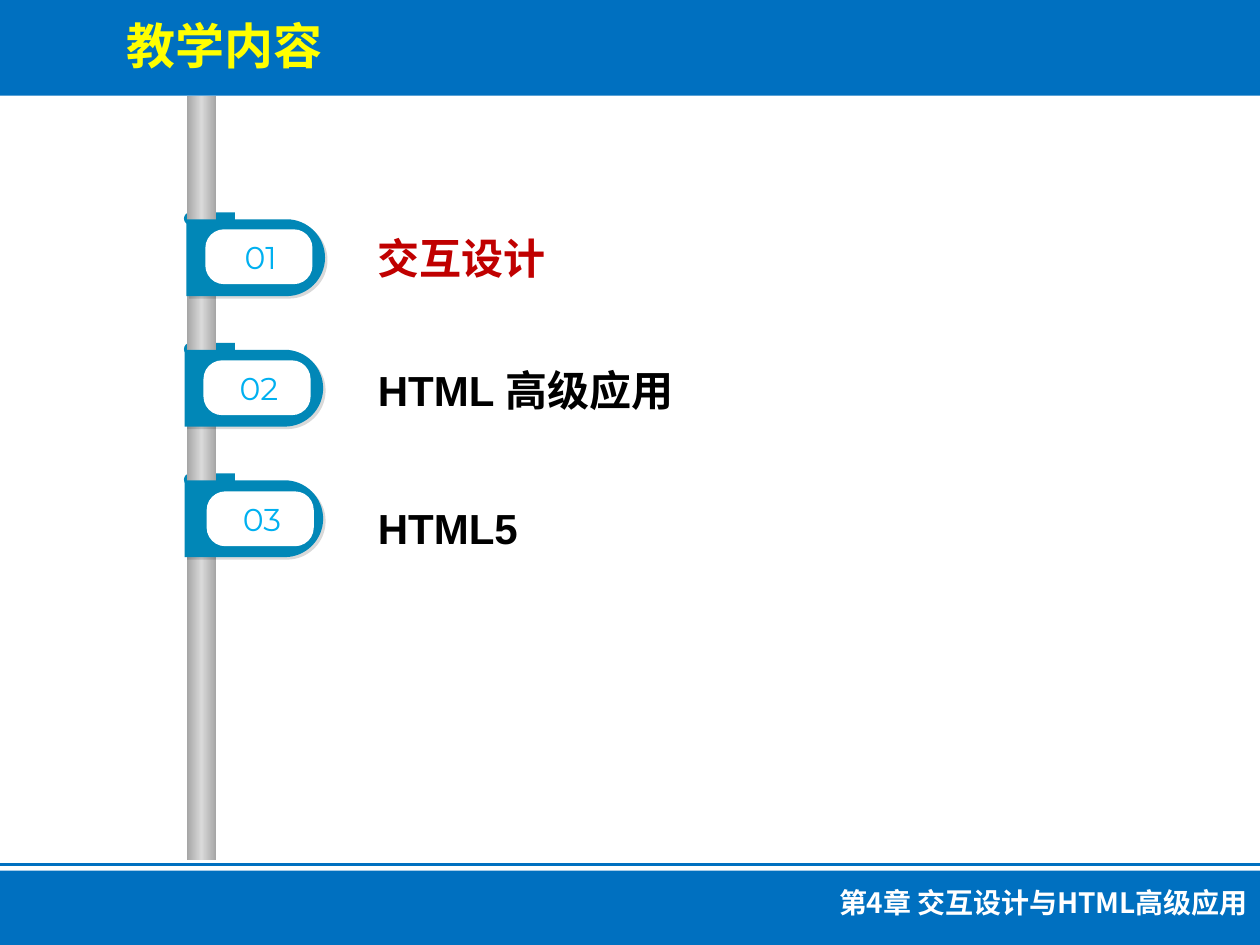
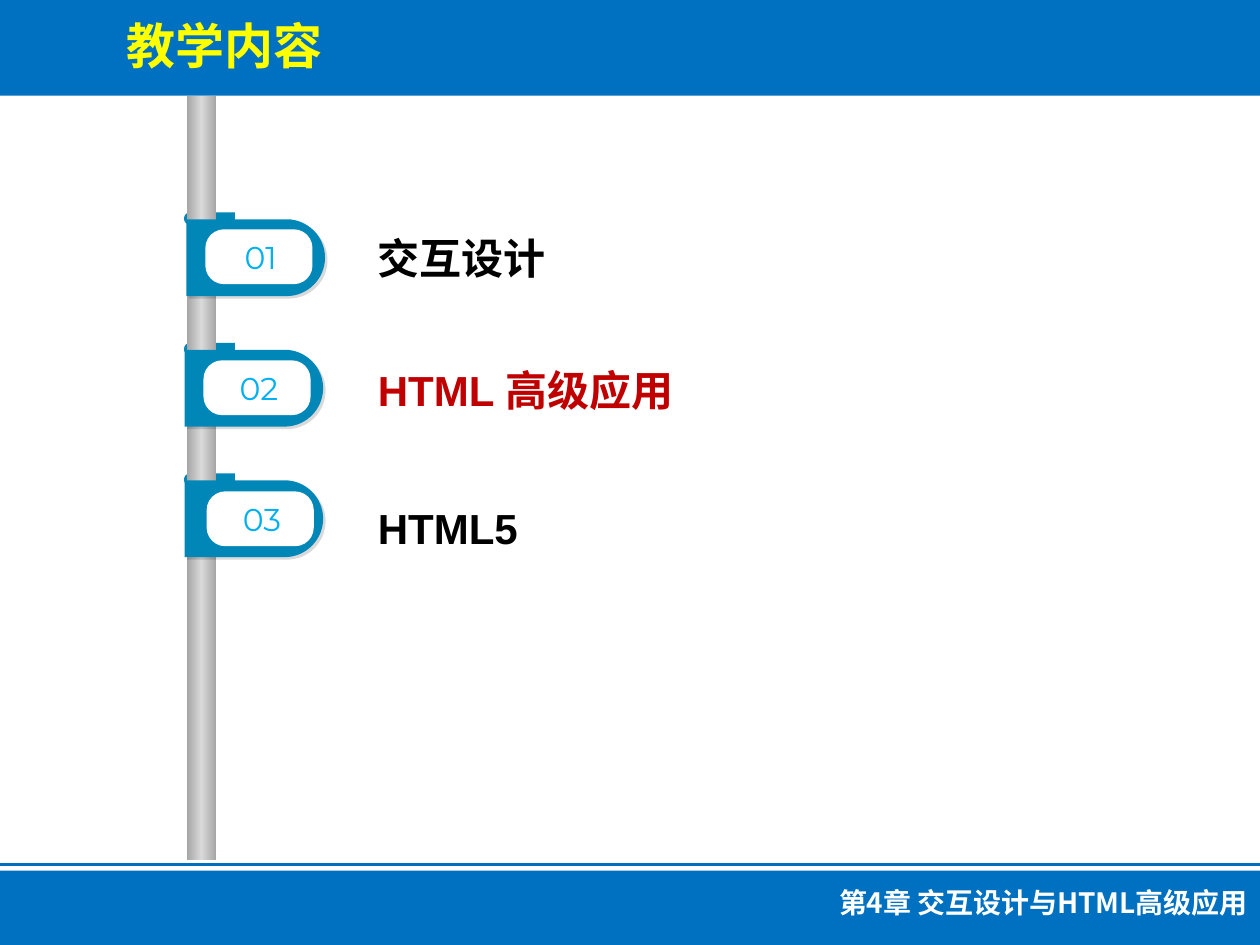
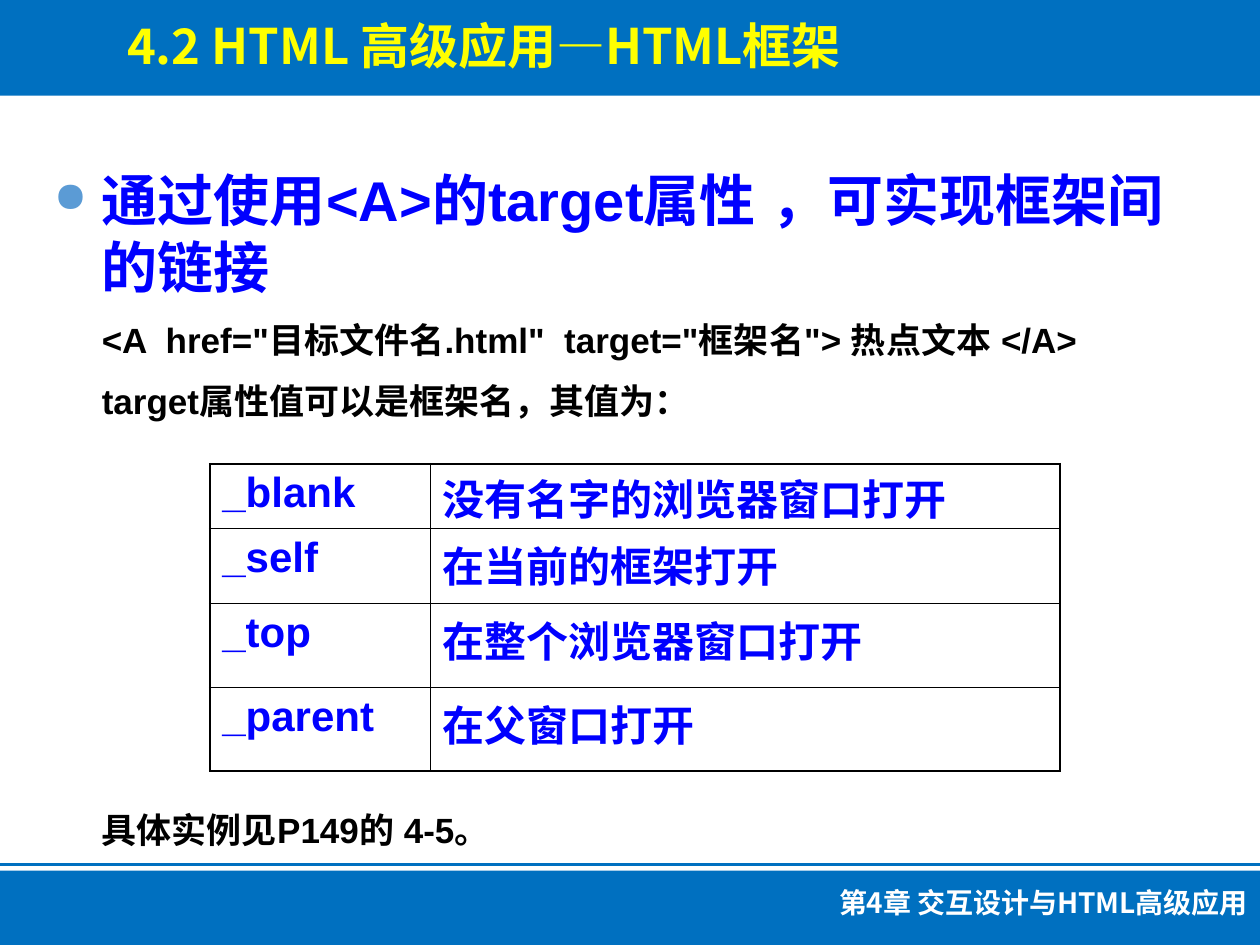
from dataclasses import dataclass

from lxml import etree
from pptx import Presentation
from pptx.dml.color import RGBColor
from pptx.enum.shapes import MSO_CONNECTOR, MSO_SHAPE
from pptx.enum.text import MSO_ANCHOR, PP_ALIGN
from pptx.oxml.ns import qn
from pptx.util import Inches, Pt

RECT, ROUND = MSO_SHAPE.RECTANGLE, MSO_SHAPE.ROUNDED_RECTANGLE
STRAIGHT = MSO_CONNECTOR.STRAIGHT
MIDDLE = MSO_ANCHOR.MIDDLE
LEFT, CENTER, RIGHT, JUSTIFY = PP_ALIGN.LEFT, PP_ALIGN.CENTER, PP_ALIGN.RIGHT, PP_ALIGN.JUSTIFY


@dataclass(frozen=True)
class Theme:
    band: str = "0070C0"
    flag: str = "0187B7"
    pole: tuple = ((0, "A6A6A6"), (50, "D9D9D9"), (100, "A6A6A6"))
    white: str = "FFFFFF"
    black: str = "000000"
    bullet: str = "5B9BD5"
    title: tuple = ("Noto Sans CJK SC", 28, "FFFF00", True)
    footer: tuple = ("Noto Sans CJK SC", 16, "FFFFFF", True)
    label: tuple = ("Arial", 24, "000000", True)
    label_on: tuple = ("Arial", 24, "C00000", True)
    number: tuple = ("Montserrat", 18, "00B0F0", False)
    lead: tuple = ("Arial", 32, "0000FF", True)
    body: tuple = ("Arial", 20, "000000", True)
    cell: tuple = ("Arial", 24, "0000FF", True)
    outer: float = 1.08
    inner: float = 0.45


T = Theme()
prs = Presentation()
prs.slide_width, prs.slide_height = Inches(10), Inches(7.5)
COL, ROW = prs.slide_width / 100, prs.slide_height / 75


def put(s, kind, x, y, w, h, fill=None):
    box = [round(v) for v in (x * COL, y * ROW, w * COL, h * ROW)]
    if kind is None:
        sp = s.shapes.add_textbox(*box)
        sp.text_frame.word_wrap = True
        return sp
    sp = s.shapes.add_shape(kind, *box)
    sp.shadow.inherit = False
    sp.line.fill.background()
    if fill:
        sp.fill.solid()
        sp.fill.fore_color.rgb = RGBColor.from_string(fill)
    return sp


def write(tf, text, style, **fmt):
    p = tf.paragraphs[0]
    if p.runs:
        p = tf.add_paragraph()
    for name, value in fmt.items():
        setattr(p, name, value)
    r = p.add_run()
    r.text = text
    font, size, color, bold = style
    for name, value in {"name": font, "size": Pt(size), "bold": bold}.items():
        setattr(r.font, name, value)
    r.font.color.rgb = RGBColor.from_string(color)
    etree.SubElement(r.font._element, qn("a:ea"), typeface=font)
    return p


titles = [("教学内容", 45.3), ("教学内容", 45.3), ("4.2 HTML 高级应用—HTML框架", 82.2)]
slides = []
for title, width in titles:
    s = prs.slides.add_slide(prs.slide_layouts[6])
    put(s, RECT, 0, 0, 100, 7.6, T.band)
    put(s, RECT, 0, 69.1, 100, 5.9, T.band)
    rule = s.shapes.add_connector(STRAIGHT, 0, round(68.6 * ROW), prs.slide_width, round(68.6 * ROW))
    rule.line.color.rgb = RGBColor.from_string(T.band)
    rule.line.width = Pt(2)
    etree.SubElement(rule._element.spPr, qn("a:effectLst"))
    tf = put(s, None, 9.1, 0.7, width, 5.7).text_frame
    write(tf, title, T.title, alignment=LEFT, line_spacing=Pt(33.8))
    tf = put(s, None, 52.9, 69.8, 47.1, 5.2).text_frame
    write(tf, "第4章 交互设计与HTML高级应用", T.footer, alignment=RIGHT, line_spacing=Pt(19.4))
    slides.append(s)

topics = [
    ("交互设计", 14.8, 16.3, 16.75),
    ("HTML 高级应用", 14.65, 16.15, 27.2),
    ("HTML5", 14.65, 16.4, 38.2),
]
PITCH, BADGE_PITCH = 10.36, 10.4
KAPPA = 0.55

for active, s in enumerate(slides[:2]):
    for layer in ("tab", "flag"):
        for i, (text, flag_x, badge_x, label_y) in enumerate(topics):
            if layer == "tab":
                x, y, w, h, side = 18.65, 16.85, 4.05, 1, -1
            else:
                x, y, w, h, side = flag_x, 17.4, 11, 6.1, 1
            y += i * PITCH
            rad = h / 2
            end = x + side * w
            cx = end - side * rad
            near, bend = cx + side * KAPPA * rad, KAPPA * rad
            mid = y + rad
            pts = [
                (cx, y), (near, y), (end, mid - bend), (end, mid),
                (end, mid + bend), (near, y + h), (cx, y + h), (x, y + h),
            ]
            fb = s.shapes.build_freeform(round(x * COL), round(y * ROW))
            fb.add_line_segments([(round(px * COL), round(py * ROW)) for px, py in pts])
            sp = fb.convert_to_shape()
            segments = list(sp._element.spPr.iter(qn("a:lnTo")))
            for first in (1, 4):
                curve = etree.Element(qn("a:cubicBezTo"))
                segments[first].addprevious(curve)
                for segment in segments[first:first + 3]:
                    curve.append(segment[0])
                    segment.getparent().remove(segment)
            sp.shadow.inherit = False
            sp.line.fill.background()
            sp.fill.solid()
            sp.fill.fore_color.rgb = RGBColor.from_string(T.flag)
            if layer == "flag":
                effects = sp._element.spPr.find(qn("a:effectLst"))
                shadow = etree.SubElement(effects, qn("a:outerShdw"), dist=str(Pt(2)), dir="2700000")
                clr = etree.SubElement(shadow, qn("a:srgbClr"), val=T.black)
                etree.SubElement(clr, qn("a:alpha"), val="15000")
        if layer == "tab":
            pole = put(s, RECT, 14.85, 7.6, 2.3, 60.7)
            pole.fill.gradient()
            pole.fill.gradient_angle = 0
            stops = next(pole._element.spPr.iter(qn("a:gsLst")))
            for stop in list(stops):
                stops.remove(stop)
            for pos, color in T.pole:
                stop = etree.SubElement(stops, qn("a:gs"), pos=str(pos * 1000))
                etree.SubElement(stop, qn("a:srgbClr"), val=color)

    for i, (text, flag_x, badge_x, label_y) in enumerate(topics):
        tf = put(s, None, 29, label_y, 48.9, 6.2).text_frame
        style = T.label_on if i == active else T.label
        write(tf, text, style, alignment=JUSTIFY, line_spacing=Pt(37.5))
        badge = put(s, ROUND, badge_x, 18.2 + i * BADGE_PITCH, 8.5, 4.35, T.white)
        badge.adjustments[0] = 0.34
        tf = put(s, None, badge_x + 1.05, 18.8 + i * BADGE_PITCH, 6.7, 3.2).text_frame
        for name in ("margin_left", "margin_top", "margin_right", "margin_bottom"):
            setattr(tf, name, 0)
        tf.vertical_anchor = MIDDLE
        write(tf, f"{i + 1:02}", T.number, alignment=CENTER)

s = slides[2]
tf = put(s, None, 3.3, 12.7, 93.3, 55.7).text_frame
lines = [
    ("通过使用<A>的target属性 ，可实现框架间的链接", T.lead, 38, 0),
    ('<A  href="目标文件名.html"  target="框架名"> 热点文本 </A>', T.body, 30, 5),
    ("target属性值可以是框架名，其值为：", T.body, 30, 5),
    ("具体实例见P149的 4-5。", T.body, 30, 215),
]
for text, style, spacing, before in lines:
    p = write(tf, text, style, alignment=LEFT, line_spacing=Pt(spacing), space_before=Pt(before))
    pPr = p._p.get_or_add_pPr()
    pPr.set("marL", str(Inches(0.38)))
    if style is T.lead:
        pPr.set("indent", str(-Inches(0.38)))
        clr = etree.SubElement(pPr, qn("a:buClr"))
        etree.SubElement(clr, qn("a:srgbClr"), val=T.bullet)
        etree.SubElement(pPr, qn("a:buSzPct"), val="75000")
        etree.SubElement(pPr, qn("a:buChar"), char="●")
    else:
        pPr.set("indent", "0")

targets = [
    ("_blank", "没有名字的浏览器窗口打开"),
    ("_self", "在当前的框架打开"),
    ("_top", "在整个浏览器窗口打开"),
    ("_parent", "在父窗口打开"),
]
widths, heights = [17.5, 50], [5, 6, 6.65, 6.65]
frame = s.shapes.add_table(
    len(targets), 2, round(16.65 * COL), round(36.8 * ROW),
    round(sum(widths) * COL), round(sum(heights) * ROW))
table = frame.table
for name in ("first_row", "horz_banding"):
    setattr(table, name, False)
for column, width in zip(table.columns, widths):
    column.width = round(width * COL)
for i, (row, height) in enumerate(zip(table.rows, heights)):
    row.height = round(height * ROW)
    for j, cell in enumerate(row.cells):
        cell.fill.background()
        cell.margin_top = Inches(0.05 if j == 0 else 0.11 if i == 0 else 0.13)
        cell.margin_bottom = 0
        write(cell.text_frame, targets[i][j], T.cell, alignment=LEFT)
        tcPr = cell._tc.get_or_add_tcPr()
        edges = {"L": j == 0, "R": j == 1, "T": i == 0, "B": i == len(targets) - 1}
        for k, (edge, outside) in enumerate(edges.items()):
            width = Pt(T.outer if outside else T.inner)
            ln = etree.Element(qn(f"a:ln{edge}"), w=str(width))
            fill = etree.SubElement(ln, qn("a:solidFill"))
            etree.SubElement(fill, qn("a:srgbClr"), val=T.black)
            tcPr.insert(k, ln)

prs.save("out.pptx")
